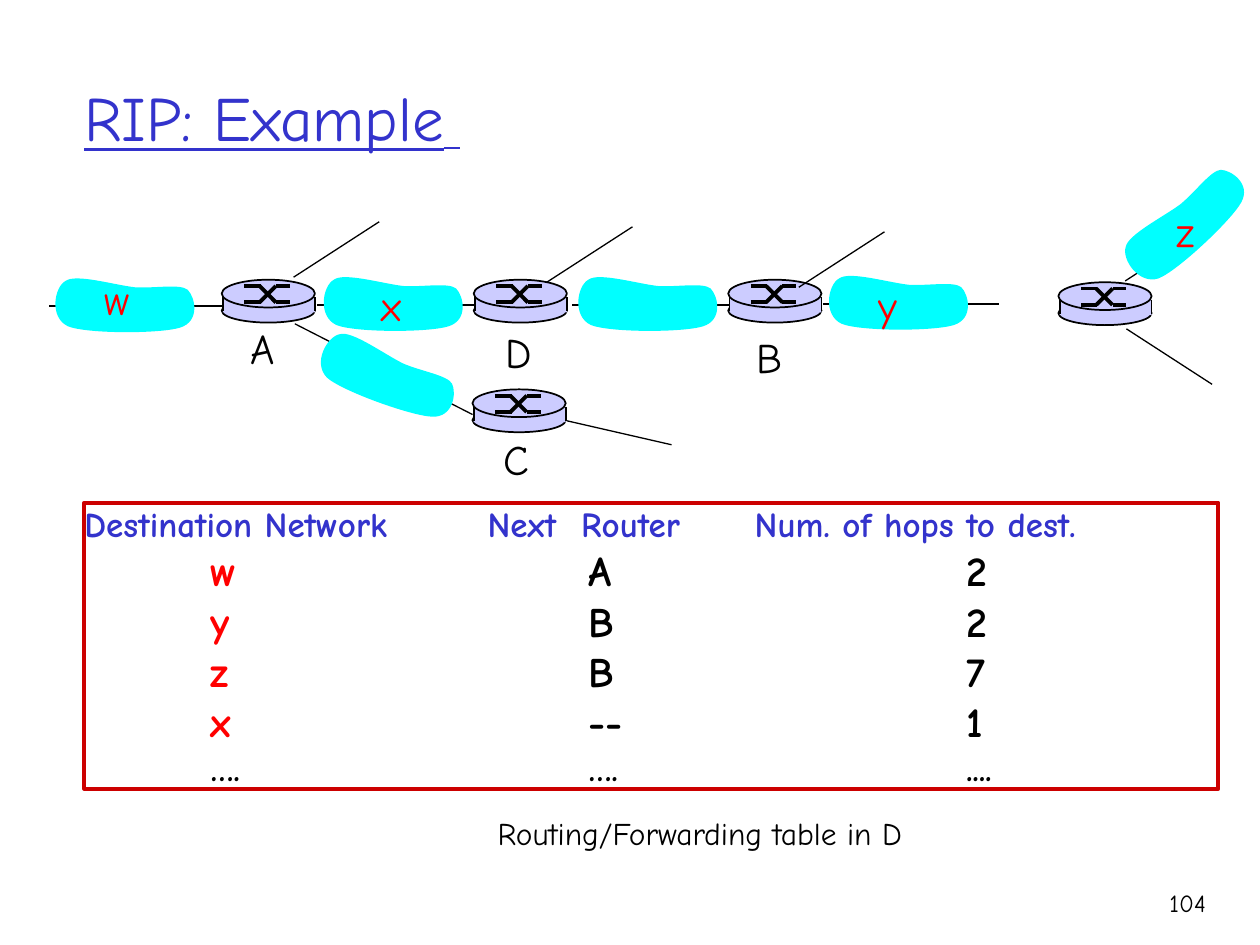
from lxml import etree
from pptx import Presentation
from pptx.dml.color import RGBColor
from pptx.enum.shapes import MSO_CONNECTOR, MSO_SHAPE
from pptx.enum.text import MSO_ANCHOR, PP_ALIGN
from pptx.oxml.ns import qn
from pptx.util import Inches, Pt

FONT = "Comic Neue"
BLACK, BLUE, RED = "000000", "3333CC", "FF0000"
CYAN, LILAC, FRAME = "00FFFF", "CCCCFF", "CC0000"

# Cloud outline: a start point, then three points for each curve
CLOUD = [(.68, .11),
         (.51, .09), (.21, 0), (.13, .06),
         (.04, .11), (0, .35), (.15, .42),
         (.3, .48), (.88, .48), (1.04, .43),
         (1.2, .38), (1.16, .19), (1.1, .13),
         (1.04, .08), (.84, .12), (.68, .11)]


def color(code):
    return RGBColor.from_string(code)


def box(*sizes):
    return [Inches(size) for size in sizes]


def paint(shape, fill=None, line=None, width=1):
    shape.shadow.inherit = False
    if fill:
        shape.fill.solid()
        shape.fill.fore_color.rgb = color(fill)
    else:
        shape.fill.background()
    if line:
        shape.line.color.rgb = color(line)
        shape.line.width = Pt(width)
    else:
        shape.line.fill.background()


def add_line(shapes, x1, y1, x2, y2, width=1.0):
    line = shapes.add_connector(MSO_CONNECTOR.STRAIGHT, *box(x1, y1, x2, y2))
    line.line.color.rgb = color(BLACK)
    line.line.width = Pt(width)
    etree.SubElement(line._element.spPr, qn("a:effectLst"))


def add_run(para, text, size=24, ink=BLACK, bold=False, under=False):
    run = para.add_run()
    run.text = text
    font = run.font
    font.name, font.size, font.bold, font.underline = FONT, Pt(size), bold, under
    font.color.rgb = color(ink)


def add_text(slide, text, x, y, w, h, wrap=False, align=PP_ALIGN.LEFT,
             anchor=MSO_ANCHOR.TOP, **style):
    frame = slide.shapes.add_textbox(*box(x, y, w, h)).text_frame
    frame.word_wrap = wrap
    frame.vertical_anchor = anchor
    para = frame.paragraphs[0]
    para.alignment = align
    add_run(para, text, **style)
    return para


def set_tabs(para, stops):
    tabs = etree.SubElement(para._p.get_or_add_pPr(), qn("a:tabLst"))
    for stop in stops:
        etree.SubElement(tabs, qn("a:tab"), pos=str(Inches(stop)), algn="l")


def add_router(slide, x, y):
    parts = slide.shapes.add_group_shape().shapes

    def solid(kind, dx, dy, w, h, line=None):
        shape = parts.add_shape(kind, *box(x + dx, y + dy, w, h))
        paint(shape, LILAC, line)

    # Drum: base, sides, body, top
    solid(MSO_SHAPE.OVAL, 0, .15, .74, .19, BLACK)
    solid(MSO_SHAPE.RECTANGLE, .01, .14, .73, .12)
    for side in (.01, .74):
        add_line(parts, x + side, y + .14, x + side, y + .25)
    solid(MSO_SHAPE.OVAL, 0, 0, .74, .22, BLACK)

    # Crossed paths on the top
    high, low = y + .05, y + .18
    for start, end in ((high, low), (low, high)):
        add_line(parts, x + .18, start, x + .31, start, 2.25)
        add_line(parts, x + .3, start, x + .43, end, 2.25)
        add_line(parts, x + .43, end, x + .54, end, 2.25)


def add_cloud(slide, x, y, turn=0):
    points = [(Inches(x + dx), Inches(y + dy)) for dx, dy in CLOUD]
    build = slide.shapes.build_freeform(*points[0])
    build.add_line_segments(points[1:], close=True)
    cloud = build.convert_to_shape()
    paint(cloud, CYAN)
    cloud.rotation = turn
    # Turn each three line points into one curve
    lines = list(cloud._element.iter(qn("a:lnTo")))
    for first in range(0, len(lines), 3):
        curve = etree.Element(qn("a:cubicBezTo"))
        lines[first].addprevious(curve)
        for line in lines[first:first + 3]:
            curve.append(line[0])
            line.getparent().remove(line)


def add_net(slide):
    # Links between routers, behind them
    for x, y in ((.39, 2.43), (2.52, 2.42), (4.54, 2.42), (6.53, 2.41)):
        add_line(slide.shapes, x, y, x + 1.4, y)
    for x, y in ((1.76, 2.22), (3.76, 2.22), (5.78, 2.22), (8.4, 2.24), (3.75, 3.09)):
        add_router(slide, x, y)
    # Slanted links
    for x, y in ((2.33, 2.2), (4.34, 2.24), (6.34, 2.28), (8.93, 2.23)):
        add_line(slide.shapes, x, y, x + .68, y - .44, .75)
    for ends in ((8.94, 2.61, 9.62, 3.05), (2.34, 2.57, 3.75, 3.29),
                 (4.5, 3.34, 5.33, 3.53)):
        add_line(slide.shapes, *ends, .75)
    # Networks
    for place in ((.39, 2.17), (2.52, 2.16), (4.54, 2.16), (6.53, 2.15),
                  (2.48, 2.74, 19.7), (8.8, 1.53, 316.8)):
        add_cloud(slide, *place)
    # Names of networks and routers
    for name, x, y, w in (("w", .73, 2.12, .4), ("x", 2.93, 2.17, .36),
                          ("y", 6.87, 2.17, .35), ("z", 9.24, 1.58, .34),
                          ("A", 1.89, 2.51, .39), ("C", 3.9, 3.39, .4),
                          ("D", 3.91, 2.54, .41), ("B", 5.91, 2.58, .4)):
        add_text(slide, name, x, y, w, .5, ink=RED if name.islower() else BLACK)


def add_routes(slide, x, y, w, h):
    frame = slide.shapes.add_shape(MSO_SHAPE.RECTANGLE, *box(x, y, w, h))
    paint(frame, line=FRAME, width=2.25)
    body = frame.text_frame
    body.word_wrap = True
    body.vertical_anchor = MSO_ANCHOR.TOP
    body.margin_left = body.margin_right = body.margin_top = body.margin_bottom = 0

    # Column heads
    head = body.paragraphs[0]
    head.alignment = PP_ALIGN.LEFT
    set_tabs(head, (3.2, 5.32))
    add_run(head, "Destination Network\tNext  Router\tNum. of hops to dest.",
            size=20, ink=BLUE, bold=True)

    # Routes
    for dest, hop, count in (("w", "A", "2"), ("y", "B", "2"), ("z", "B", "7"),
                             ("x", "--", "1"), ("….", "….", "....")):
        para = body.add_paragraph()
        para.alignment = PP_ALIGN.LEFT
        set_tabs(para, (1, 4, 7))
        more = dest == "…."
        size = 20 if more else 24
        add_run(para, f"\t{dest}", size=size, ink=BLACK if more else RED, bold=True)
        add_run(para, f"\t{hop}\t{count}", size=size, bold=True)


def main():
    deck = Presentation()
    deck.slide_width, deck.slide_height = box(10, 7.5)
    slide = deck.slides.add_slide(deck.slide_layouts[6])

    title = add_text(slide, "RIP: Example", .57, .3, 8.5, 1.25, wrap=True,
                     anchor=MSO_ANCHOR.MIDDLE, size=36, ink=BLUE, under=True)
    add_run(title, " ", size=28, ink=BLUE, under=True)
    add_net(slide)
    add_routes(slide, .67, 3.99, 9, 2.27)
    add_text(slide, "Routing/Forwarding table in D", 3.85, 6.41, 3.45, .4, size=18)
    add_text(slide, "104", 8.93, 7, .74, .5, wrap=True, align=PP_ALIGN.RIGHT, size=14)
    deck.save("out.pptx")


if __name__ == "__main__":
    main()
